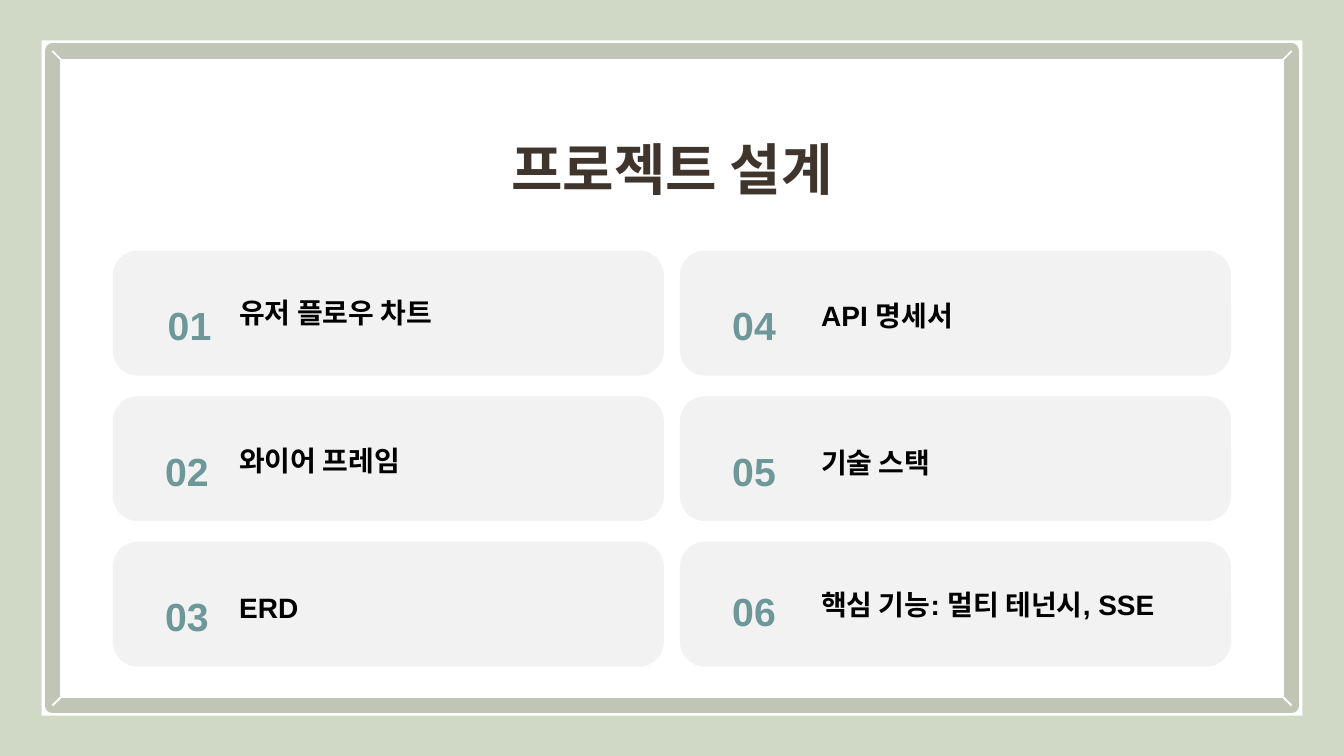
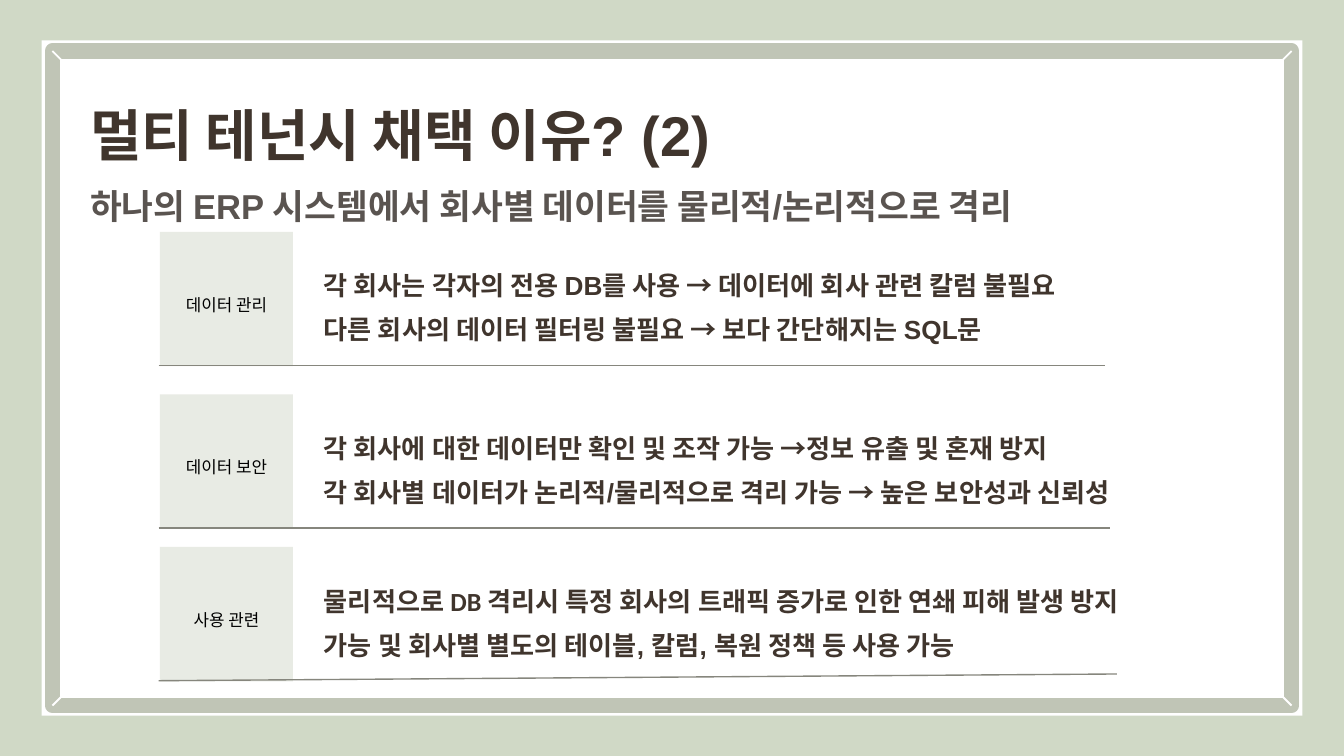
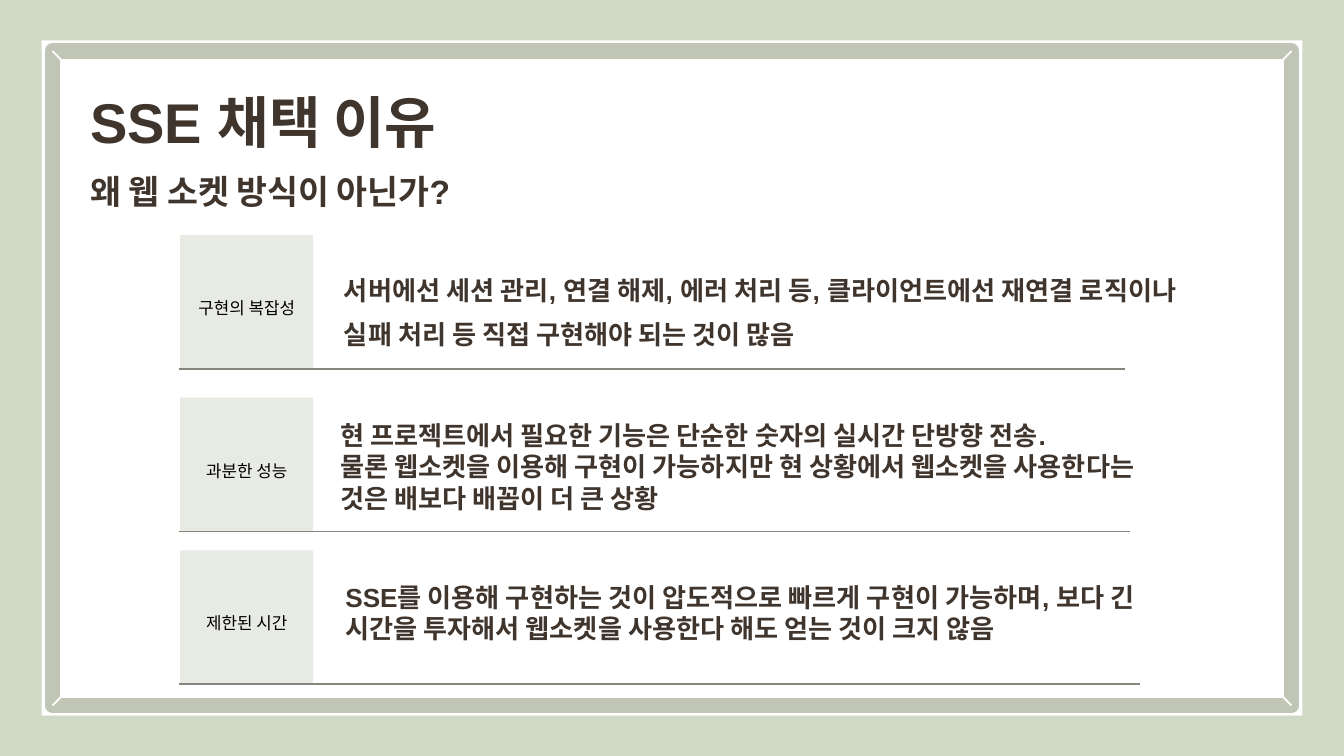
from dataclasses import dataclass

from lxml.etree import SubElement
from pptx import Presentation
from pptx.dml.color import RGBColor
from pptx.enum.shapes import MSO_CONNECTOR, MSO_SHAPE
from pptx.enum.text import MSO_ANCHOR, MSO_AUTO_SIZE, PP_ALIGN
from pptx.oxml.ns import qn
from pptx.shapes.autoshape import Shape
from pptx.slide import Slide
from pptx.text.text import TextFrame
from pptx.util import Emu, Inches, Pt

SLIDE_WIDTH = Inches(10)
SLIDE_HEIGHT = SLIDE_WIDTH * 9 // 16
GRID_COLUMNS = 100  # square cells: rows are as tall as columns are wide

SAGE = "D0D9C6"
FRAME = "C0C5B6"
WHITE = "FFFFFF"
CARD = "F2F2F2"
TAG = "E8EBE4"
RULE = "86867D"
BROWN = "40352D"
GREY = "5A5450"
TEAL = "6D9799"
BLACK = "000000"

ROW_OFFSETS = (0, 12.1, 23.45)
TAG_WIDTH, TAG_HEIGHT = 9.9, 10


@dataclass(frozen=True)
class Box:
    left: float
    top: float
    width: float
    height: float


@dataclass(frozen=True)
class Line:
    """A paragraph; lead is its opening part, set in Calibri."""
    text: str
    size: float = 14
    color: str = BROWN
    bold: bool = True
    font: str = "Arial"
    spacing: float = 1.4
    align: PP_ALIGN = PP_ALIGN.LEFT
    lead: str = ""


@dataclass(frozen=True)
class Topic:
    """Number and label positions are measured from the card's corner."""
    label: str
    label_left: float
    label_top: float
    number_left: float = 2.6
    number_top: float = 2.4


@dataclass(frozen=True)
class Reason:
    """The text position is measured from the tag's corner."""
    tag: str
    lines: tuple[Line, ...]
    rule_end: float
    text_left: float = 12.2
    text_top: float = 1.9
    text_width: float = 64.7
    rule_rise: float = 0


@dataclass(frozen=True)
class ReasonSlide:
    title_box: Box
    title: str
    subtitle: Line
    left: float
    top: float
    reasons: tuple[Reason, ...]


TOPICS = (
    Topic("유저 플로우 차트", 9.4, 3.5, number_left=2.8),
    Topic("와이어 프레임", 9.4, 3.7),
    Topic("ERD", 9.4, 3.8),
    Topic("API 명세서", 10.5, 3.7),
    Topic("기술 스택", 10.5, 3.8),
    Topic("핵심 기능: 멀티 테넌시, SSE", 10.5, 3.6, number_top=2),
)

REASON_SLIDES = (
    ReasonSlide(
        Box(6.7, 5.5, 81, 10.2), "멀티 테넌시 채택 이유? (2)",
        Line("하나의 ERP 시스템에서 회사별 데이터를 물리적/논리적으로 격리", 18.5, GREY),
        11.9, 17.25,
        (
            Reason("데이터 관리", (
                Line("각 회사는 각자의 전용 DB를 사용 → 데이터에 회사 관련 칼럼 불필요"),
                Line("다른 회사의 데이터 필터링 불필요 → 보다 간단해지는 SQL문"),
            ), 82.2),
            Reason("데이터 보안", (
                Line("각 회사에 대한 데이터만 확인 및 조작 가능 →정보 유출 및 혼재 방지"),
                Line("각 회사별 데이터가 논리적/물리적으로 격리 가능 → 높은 보안성과 신뢰성"),
            ), 82.6),
            Reason("사용 관련", (
                Line(" 및 회사별 별도의 테이블, 칼럼, 복원 정책 등 사용 가능",
                     lead="물리적으로 DB 격리시 특정 회사의 트래픽 증가로 인한 연쇄 피해 발생 방지 가능"),
            ), 83.1, text_width=62.1, rule_rise=0.5),
        ),
    ),
    ReasonSlide(
        Box(6.7, 4.5, 56.7, 10.1), "SSE 채택 이유",
        Line("왜 웹 소켓 방식이 아닌가?", 18),
        13.4, 17.5,
        (
            Reason("구현의 복잡성", (
                Line("서버에선 세션 관리, 연결 해제, 에러 처리 등, 클라이언트에선 재연결 "
                     "로직이나 실패 처리 등 직접 구현해야 되는 것이 많음"),
            ), 83.7, text_top=2),
            Reason("과분한 성능", (
                Line("현 프로젝트에서 필요한 기능은 단순한 숫자의 실시간 단방향 전송.", spacing=1),
                Line("물론 웹소켓을 이용해 구현이 가능하지만 현 상황에서 웹소켓을 사용한다는 "
                     "것은 배보다 배꼽이 더 큰 상황", spacing=1),
            ), 84.1, text_left=11.9, text_top=1.6, text_width=60.8),
            Reason("제한된 시간", (
                Line("SSE를 이용해 구현하는 것이 압도적으로 빠르게 구현이 가능하며, 보다 긴 "
                     "시간을 투자해서 웹소켓을 사용한다 해도 얻는 것이 크지 않음", spacing=1),
            ), 84.8, text_left=12.3, text_top=2.3, text_width=60.3),
        ),
    ),
)


def cells(count: float) -> Emu:
    return Emu(round(count * SLIDE_WIDTH / GRID_COLUMNS))


def place(box: Box) -> tuple[Emu, Emu, Emu, Emu]:
    return cells(box.left), cells(box.top), cells(box.width), cells(box.height)


def rgb(value: str) -> RGBColor:
    return RGBColor.from_string(value)


def write(frame: TextFrame, lines: tuple[Line, ...], margin: float = 0) -> None:
    frame.word_wrap = True
    frame.margin_left = frame.margin_right = cells(margin)
    frame.margin_top = frame.margin_bottom = cells(margin)
    for index, line in enumerate(lines):
        paragraph = frame.add_paragraph() if index else frame.paragraphs[0]
        paragraph.alignment = line.align
        paragraph.line_spacing = line.spacing
        font = paragraph.font
        font.name, font.size, font.bold = line.font, Pt(line.size), line.bold
        font.color.rgb = rgb(line.color)
        if line.lead:
            lead = paragraph.add_run()
            lead.text = line.lead
            lead.font.name = "Calibri"
        paragraph.add_run().text = line.text


def add_text(slide: Slide, box: Box, *lines: Line) -> None:
    frame = slide.shapes.add_textbox(*place(box)).text_frame
    write(frame, lines)
    frame.auto_size = MSO_AUTO_SIZE.SHAPE_TO_FIT_TEXT


def add_block(slide: Slide, box: Box, fill: str,
              preset: MSO_SHAPE = MSO_SHAPE.RECTANGLE) -> Shape:
    block = slide.shapes.add_shape(preset, *place(box))
    block.shadow.inherit = False
    block.fill.solid()
    block.fill.fore_color.rgb = rgb(fill)
    block.line.fill.background()
    return block


def add_line(slide: Slide, start: tuple[float, float], end: tuple[float, float],
             color: str, width: float) -> None:
    line = slide.shapes.add_connector(
        MSO_CONNECTOR.STRAIGHT, *map(cells, start), *map(cells, end))
    line.line.color.rgb = rgb(color)
    line.line.width = Pt(width)
    SubElement(line.element.spPr, qn("a:effectLst"))


def add_framed_slide(prs: Presentation, title_box: Box, *title_lines: Line) -> Slide:
    slide = prs.slides.add_slide(prs.slide_layouts.get_by_name("Title Only"))
    add_block(slide, Box(3.1, 3, 93.8, 50.25), WHITE)
    inner = Box(3.9, 3.8, 92.2, 48.7)
    border = add_block(slide, inner, WHITE).line
    border.color.rgb = rgb(FRAME)
    border.width = Pt(8.25)
    for x, inward_x in ((inner.left, 1.1), (inner.left + inner.width, -1.1)):
        for y, inward_y in ((inner.top, 1.1), (inner.top + inner.height, -1.1)):
            add_line(slide, (x, y), (x + inward_x, y + inward_y), WHITE, 1)

    title = slide.shapes.title
    title.element.getparent().append(title.element)  # bring in front of the frame
    title.left, title.top, title.width, title.height = place(title_box)
    write(title.text_frame, title_lines)
    title.text_frame.vertical_anchor = MSO_ANCHOR.TOP
    title.text_frame.auto_size = MSO_AUTO_SIZE.SHAPE_TO_FIT_TEXT
    return slide


def add_topics_slide(prs: Presentation) -> None:
    slide = add_framed_slide(prs, Box(29, 8, 42, 5),
                             Line("프로젝트 설계", 30, align=PP_ALIGN.CENTER))
    for index, topic in enumerate(TOPICS):
        column, row = divmod(index, 3)
        left, top = 8.4 + 42.2 * column, 18.65 + 10.83 * row
        card = add_block(slide, Box(left, top, 41, 9.3), CARD,
                         MSO_SHAPE.ROUNDED_RECTANGLE)
        card.adjustments[0] = 0.2
        add_text(slide, Box(left + topic.number_left, top + topic.number_top, 5.8, 3.5),
                 Line(f"{index + 1:02}", 21, TEAL, align=PP_ALIGN.CENTER))
        add_text(slide, Box(left + topic.label_left, top + topic.label_top, 28.9, 2.4),
                 Line(topic.label, 15, BLACK, spacing=0.96))


def add_reason(slide: Slide, reason: Reason, left: float, top: float) -> None:
    tag = add_block(slide, Box(left, top, TAG_WIDTH, TAG_HEIGHT), TAG).text_frame
    write(tag, (Line(reason.tag, 9, BLACK, False, "Calibri", 1.94, PP_ALIGN.CENTER),),
          margin=0.2)
    tag.margin_bottom = cells(0.8)
    tag.vertical_anchor = MSO_ANCHOR.MIDDLE
    add_text(slide, Box(left + reason.text_left, top + reason.text_top,
                        reason.text_width, 5.7), *reason.lines)
    bottom = top + TAG_HEIGHT - 0.05
    add_line(slide, (left - 0.1, bottom),
             (reason.rule_end, bottom - reason.rule_rise), RULE, 0.75)


def add_reason_slide(prs: Presentation, content: ReasonSlide) -> None:
    slide = add_framed_slide(prs, content.title_box, Line(content.title, 30),
                             content.subtitle)
    for reason, offset in zip(content.reasons, ROW_OFFSETS):
        add_reason(slide, reason, content.left, content.top + offset)


def main() -> None:
    prs = Presentation()
    prs.slide_width, prs.slide_height = SLIDE_WIDTH, SLIDE_HEIGHT
    background = prs.slide_master.background.fill
    background.solid()
    background.fore_color.rgb = rgb(SAGE)
    add_topics_slide(prs)
    for content in REASON_SLIDES:
        add_reason_slide(prs, content)
    prs.save("out.pptx")


if __name__ == "__main__":
    main()
